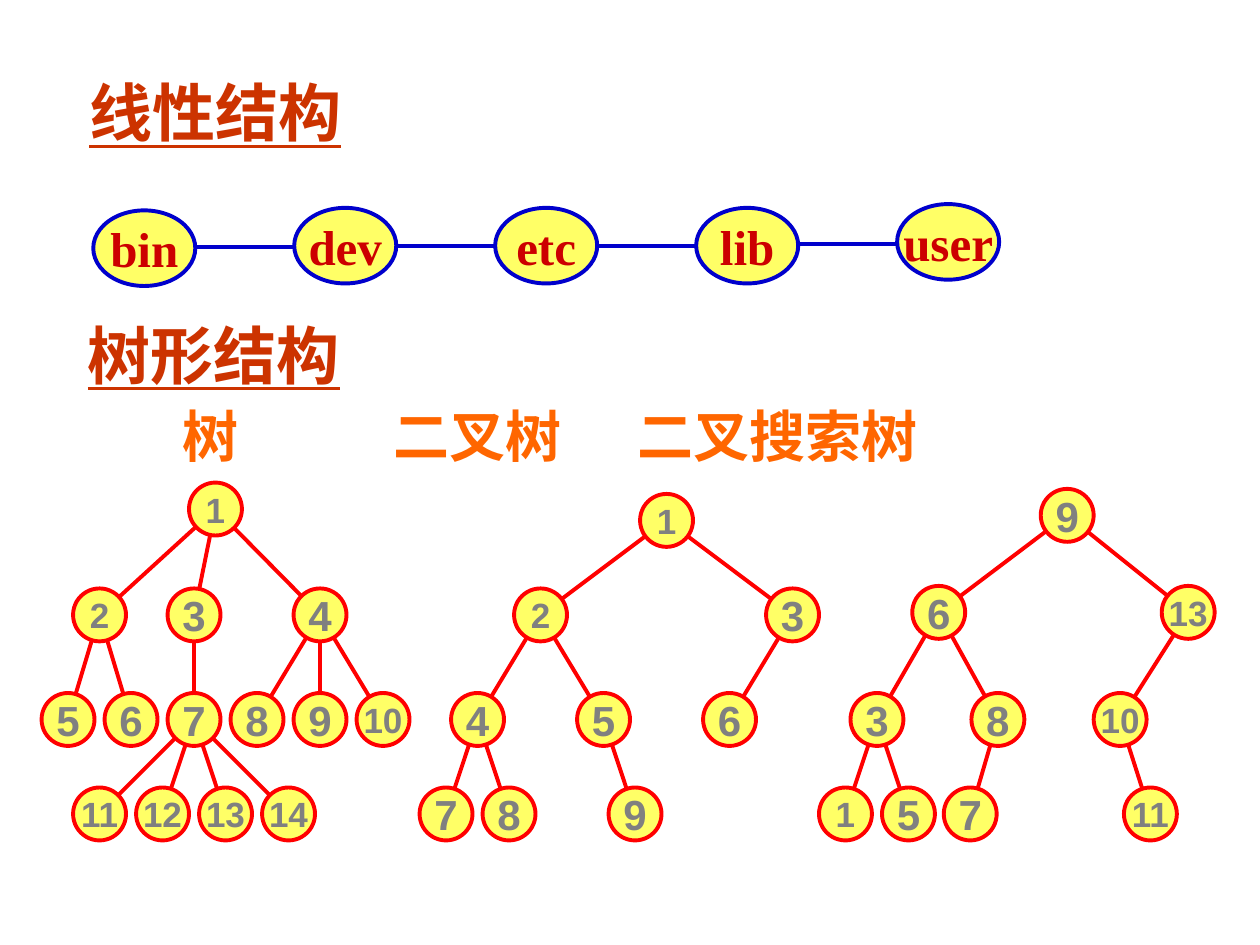
from itertools import pairwise
from math import hypot

from lxml.etree import SubElement
from pptx import Presentation
from pptx.dml.color import RGBColor
from pptx.enum.shapes import MSO_CONNECTOR, MSO_SHAPE
from pptx.enum.text import MSO_ANCHOR, PP_ALIGN
from pptx.oxml.ns import qn
from pptx.util import Inches, Pt

RED, BLUE, YELLOW = "FF0000", "0000CC", "FFFF66"
SERIF, SANS, HAN = "Times New Roman", "Arial", "Noto Sans CJK SC"
DOT = 0.42
CHAIN = ["bin", "dev", "etc", "lib", "user"]
CHAIN_TOPS = [1.67, 1.65, 1.65, 1.65, 1.62]
LINK_W, LINK_H, PITCH = 0.81, 0.6, 1.595

# A node is (label, left, children); each tree has the tops of its levels.
TREES = [
    ([3.83, 4.67, 5.5, 6.25],
     (1, 1.5, [
         (2, 0.58, [(5, 0.33, []), (6, 0.83, [])]),
         (3, 1.33, [(7, 1.33, [(11, 0.58, []), (12, 1.08, []),
                               (13, 1.58, []), (14, 2.08, [])])]),
         (4, 2.33, [(8, 1.83, []), (9, 2.33, []), (10, 2.83, [])])])),
    ([3.92, 4.67, 5.5, 6.25],
     (1, 5.08, [
         (2, 4.08, [(4, 3.58, [(7, 3.33, []), (8, 3.83, [])]),
                    (5, 4.58, [(9, 4.83, [])])]),
         (3, 6.08, [(6, 5.58, [])])])),
    ([3.88, 4.65, 5.5, 6.25],
     (9, 8.26, [
         (6, 7.24, [(3, 6.75, [(1, 6.5, []), (5, 7, [])]),
                    (8, 7.71, [(7, 7.49, [])])]),
         (13, 9.22, [(10, 8.68, [(11, 8.92, [])])])])),
]


def tint(code):
    return RGBColor.from_string(code)


def write(shape, text, size, face, hue, tabs=()):
    frame = shape.text_frame
    para = frame.paragraphs[0]
    para.text = text
    if tabs:
        stops = SubElement(para._p.get_or_add_pPr(), qn("a:tabLst"))
        for pos in tabs:
            SubElement(stops, qn("a:tab"), pos=str(Inches(pos)), algn="l")
    font = para.font
    font.size, font.name, font.bold = Pt(size), face, True
    font.color.rgb = tint(hue)
    return para


def add_head(slide, text, box):
    shape = slide.shapes.add_textbox(*map(Inches, box))
    shape.text_frame.word_wrap = True
    shape.text_frame.vertical_anchor = MSO_ANCHOR.MIDDLE
    write(shape, text, 36, SERIF, "CC3300").font.underline = True


def add_names(slide):
    """Name the three trees on one line, spaced by tab stops."""
    shape = slide.shapes.add_textbox(*map(Inches, (1.33, 3.13, 8.46, 0.66)))
    frame = shape.text_frame
    frame.word_wrap = True
    frame.margin_left = frame.margin_right = Inches(0.12)
    frame.margin_top = frame.margin_bottom = Inches(0.06)
    write(shape, "树\t二叉树\t二叉搜索树", 32, HAN, "FF6600", (1.67, 3.61))


def add_oval(slide, box, edge, text, size, face, hue):
    shape = slide.shapes.add_shape(MSO_SHAPE.OVAL, *map(Inches, box))
    shape.shadow.inherit = False
    shape.fill.solid()
    shape.fill.fore_color.rgb = tint(YELLOW)
    shape.line.color.rgb = tint(edge)
    shape.line.width = Pt(2.25)
    frame = shape.text_frame
    frame.word_wrap = False
    frame.vertical_anchor = MSO_ANCHOR.MIDDLE
    frame.margin_left = frame.margin_right = 0
    frame.margin_top = frame.margin_bottom = 0
    write(shape, text, size, face, hue).alignment = PP_ALIGN.CENTER


def add_line(slide, start, end, hue):
    line = slide.shapes.add_connector(
        MSO_CONNECTOR.STRAIGHT, *map(Inches, (*start, *end)))
    line.line.color.rgb = tint(hue)
    line.line.width = Pt(2.25)
    SubElement(line._element.spPr, qn("a:effectLst"))


def add_edge(slide, start, end):
    """Join two nodes, given their corners, from rim to rim."""
    (x1, y1), (x2, y2) = [(x + DOT / 2, y + DOT / 2) for x, y in (start, end)]
    part = DOT / 2 / hypot(x2 - x1, y2 - y1)
    dx, dy = part * (x2 - x1), part * (y2 - y1)
    add_line(slide, (x1 + dx, y1 + dy), (x2 - dx, y2 - dy), RED)


def add_tree(slide, tops, node, level=0):
    label, left, kids = node
    for kid in kids:
        add_edge(slide, (left, tops[level]), (kid[1], tops[level + 1]))
        add_tree(slide, tops, kid, level + 1)
    size = 24 if 2 < label < 10 else 20
    add_oval(slide, (left, tops[level], DOT, DOT), RED,
             str(label), size, SANS, "808080")


def add_chain(slide):
    spots = [(0.74 + i * PITCH, top) for i, top in enumerate(CHAIN_TOPS)]
    for (x1, y1), (x2, y2) in pairwise(spots):
        mid = (y1 + y2 + LINK_H) / 2
        add_line(slide, (x1 + LINK_W, mid), (x2, mid), BLUE)
    for word, spot in zip(CHAIN, spots):
        add_oval(slide, (*spot, LINK_W, LINK_H), BLUE,
                 word, 28, SERIF, "CC0000")


def main():
    deck = Presentation()
    deck.slide_width, deck.slide_height = Inches(10), Inches(7.5)
    slide = deck.slides.add_slide(deck.slide_layouts[6])
    add_head(slide, "线性结构", (0.61, 0.4, 7.67, 0.97))
    add_chain(slide)
    add_head(slide, "树形结构", (0.6, 2.31, 8.5, 1))
    add_names(slide)
    for tops, root in TREES:
        add_tree(slide, tops, root)
    deck.save("out.pptx")


if __name__ == "__main__":
    main()
